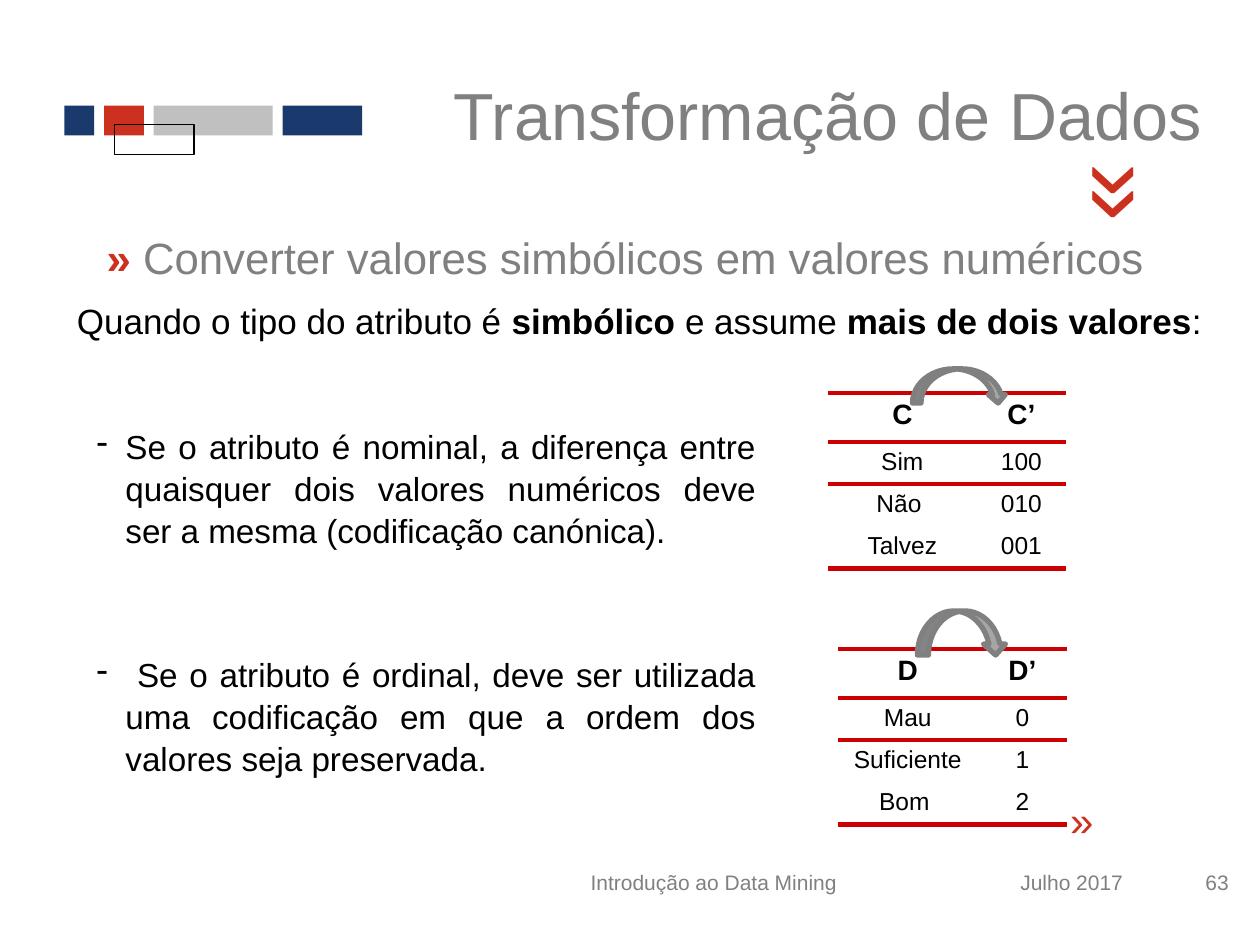
from lxml import etree
from pptx import Presentation
from pptx import util as u
from pptx.dml.color import RGBColor
from pptx.enum import shapes, text
from pptx.oxml.ns import qn

NAVY = RGBColor(0x1A, 0x3A, 0x6E)
RED = RGBColor(0xCC, 0x30, 0x1F)
RULE_RED = RGBColor(0xCC, 0x00, 0x00)
SILVER = RGBColor(0xC0, 0xC0, 0xC0)
ARROW_GREY = RGBColor(0xA6, 0xA6, 0xA6)
GREY = RGBColor(0x80, 0x80, 0x80)
BLACK = RGBColor(0, 0, 0)
FONT = "Arial"
NO_STYLE = "{2D5ABB26-0587-4C30-8999-92F81FD0307C}"
ALIGN = text.PP_ALIGN
MIDDLE = text.MSO_ANCHOR.MIDDLE


def cm(*lengths):
    return [u.Cm(length) for length in lengths]


def set_font(font, size, color, bold=False):
    font.name = FONT
    font.size = u.Pt(size)
    font.bold = bold
    font.color.rgb = color


def add_text(slide, box, runs, size, color, align=ALIGN.LEFT, anchor=text.MSO_ANCHOR.TOP):
    textbox = slide.shapes.add_textbox(*cm(*box))
    frame = textbox.text_frame
    frame.word_wrap = True
    frame.vertical_anchor = anchor
    paragraph = frame.paragraphs[0]
    paragraph.alignment = align
    set_font(paragraph.font, size, color)
    for wording, bold, run_color in runs:
        run = paragraph.add_run()
        run.text = wording
        if bold:
            run.font.bold = True
        if run_color:
            run.font.color.rgb = run_color
    return textbox


def add_plain(slide, box, wording, size, color, **layout):
    return add_text(slide, box, [(wording, False, None)], size, color, **layout)


def add_dash_item(slide, top, wording):
    item = slide.shapes.add_textbox(*cm(1.7, top, 13.79, 2.69))
    item.text_frame.word_wrap = True
    paragraph = item.text_frame.paragraphs[0]
    paragraph.text = wording
    paragraph.alignment = ALIGN.JUSTIFY
    paragraph.line_spacing = 1.05
    properties = paragraph._p.get_or_add_pPr()
    properties.set("marL", str(u.Cm(0.58)))
    properties.set("indent", str(-u.Cm(0.58)))
    etree.SubElement(properties, qn("a:buChar")).set("char", "-")
    set_font(paragraph.font, 19, BLACK)


def add_chevron(slide, box, size, rotation=0):
    chevron = add_plain(slide, box, "»", size, RED, align=ALIGN.CENTER, anchor=MIDDLE)
    frame = chevron.text_frame
    frame.margin_left = frame.margin_right = frame.margin_top = frame.margin_bottom = 0
    frame.word_wrap = False
    chevron.rotation = rotation


def add_shape(slide, kind, box, fill=None, line=None, line_width=0.75, rotation=0):
    shape = slide.shapes.add_shape(kind, *cm(*box))
    shape.shadow.inherit = False
    shape.rotation = rotation
    if fill is None:
        shape.fill.background()
    else:
        shape.fill.solid()
        shape.fill.fore_color.rgb = fill
    if line is None:
        shape.line.fill.background()
    else:
        shape.line.color.rgb = line
        shape.line.width = u.Pt(line_width)


def add_logo_bars(slide):
    rect = shapes.MSO_SHAPE.RECTANGLE
    left = 1.3
    for width, color in [(0.6, NAVY), (0.8, RED), (2.4, SILVER), (1.6, NAVY)]:
        add_shape(slide, rect, (left, 2.13, width, 0.6), color)
        left += width + 0.2
    add_shape(slide, rect, (2.31, 2.51, 1.6, 0.6), line=BLACK)


def add_cell_rule(cell, side, width):
    rule = etree.SubElement(cell._tc.get_or_add_tcPr(), qn(f"a:{side}"))
    rule.set("w", str(u.Pt(width)))
    fill = etree.SubElement(rule, qn("a:solidFill"))
    etree.SubElement(fill, qn("a:srgbClr")).set("val", str(RULE_RED))


def add_coding_table(slide, left, top, widths, rows):
    heights = [0.99] + [0.85] * (len(rows) - 1)
    frame = slide.shapes.add_table(
        len(rows), len(widths), *cm(left, top, sum(widths), sum(heights)))
    table = frame.table
    table._tbl.tblPr.find(qn("a:tableStyleId")).text = NO_STYLE
    table.horz_banding = False
    for column, width in zip(table.columns, widths):
        column.width = u.Cm(width)
    for r, (values, height) in enumerate(zip(rows, heights)):
        table.rows[r].height = u.Cm(height)
        for c, value in enumerate(values):
            cell = table.cell(r, c)
            cell.text = value
            paragraph = cell.text_frame.paragraphs[0]
            paragraph.alignment = ALIGN.CENTER
            set_font(paragraph.font, 14 if r else 16, BLACK, bold=r == 0)
            if r < 2:
                add_cell_rule(cell, "lnT", 2.25)
            if r == 0:
                add_cell_rule(cell, "lnB", 2.25)
            if r == len(rows) - 1:
                add_cell_rule(cell, "lnB", 3)
            cell.fill.background()


def main():
    deck = Presentation()
    deck.slide_width, deck.slide_height = cm(25.4, 19.05)
    slide = deck.slides.add_slide(deck.slide_layouts[6])

    add_logo_bars(slide)
    add_plain(slide, (7.7, 1.12, 16.79, 2.36), "Transformação de Dados", 38, GREY,
              align=ALIGN.RIGHT, anchor=MIDDLE)
    add_chevron(slide, (22.02, 2.49, 1.4, 2.79), 60, rotation=90)
    add_chevron(slide, (21.16, 15.88, 1.3, 1.27), 24)
    add_text(slide, (1.9, 4.52, 21.97, 1.32), [
        ("» ", True, RED),
        ("Converter valores simbólicos em valores numéricos", False, None),
    ], 25, GREY)
    add_text(slide, (1.3, 5.92, 23.47, 1.12), [
        ("Quando o tipo do atributo é ", False, None),
        ("simbólico ", True, None),
        ("e assume ", False, None),
        ("mais de dois valores", True, None),
        (":", False, None),
    ], 20, BLACK, align=ALIGN.JUSTIFY)

    add_dash_item(slide, 8.43, "Se o atributo é nominal, a diferença entre quaisquer dois "
                  "valores numéricos deve ser a mesma (codificação canónica).")
    add_dash_item(slide, 13.03, " Se o atributo é ordinal, deve ser utilizada uma "
                  "codificação em que a ordem dos valores seja preservada.")

    add_coding_table(slide, 16.69, 7.92, (3, 1.8), [
        ("C", "C’"), ("Sim", "100"), ("Não ", "010"), ("Talvez", "001")])
    add_coding_table(slide, 16.89, 13.08, (2.82, 1.8), [
        ("D", "D’"), ("Mau", "0"), ("Suficiente", "1"), ("Bom ", "2")])
    for box in [(19, 6.83, 0.69, 1.9), (18.95, 11.86, 0.89, 1.8)]:
        add_shape(slide, shapes.MSO_SHAPE.CURVED_LEFT_ARROW, box, ARROW_GREY,
                  GREY, line_width=3, rotation=270)

    for left, width, wording, align in [
        (10.49, 7.8, "Introdução ao Data Mining", ALIGN.CENTER),
        (18.29, 4.6, "Julho 2017", ALIGN.RIGHT),
        (23.01, 2.01, "63", ALIGN.RIGHT),
    ]:
        add_plain(slide, (left, 17.09, width, 1.4), wording, 12, GREY,
                  align=align, anchor=MIDDLE)

    deck.save("out.pptx")


if __name__ == "__main__":
    main()
